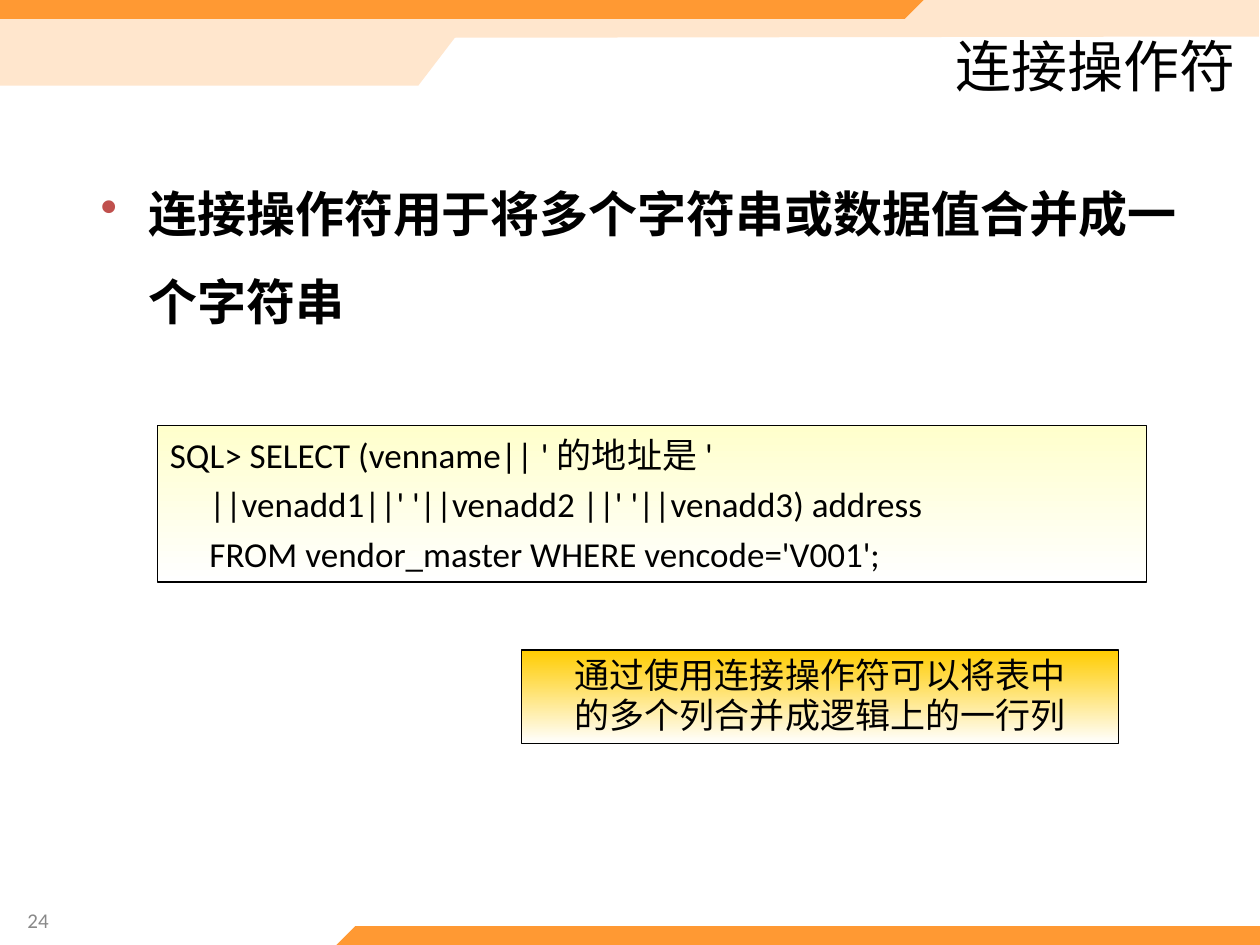
from lxml.etree import SubElement
from pptx import Presentation
from pptx.dml.color import RGBColor
from pptx.enum.shapes import MSO_SHAPE
from pptx.enum.text import MSO_ANCHOR, MSO_AUTO_SIZE, PP_ALIGN
from pptx.oxml.ns import qn
from pptx.util import Inches, Pt

BLACK = RGBColor(0, 0, 0)
WHITE = RGBColor(255, 255, 255)
GREY = RGBColor(0x89, 0x89, 0x89)
PEACH = RGBColor(0xFF, 0xE6, 0xCD)
ORANGE = RGBColor(0xFF, 0x99, 0x33)
CREAM = RGBColor(0xFF, 0xFF, 0xCC)
GOLD = RGBColor(0xFF, 0xCC, 0)
RED = RGBColor(0xC0, 0x50, 0x4D)

WIDE, HIGH = 10, 7.5
BAR, CUT = 0.15, 7.33  # depth and length of the orange bars

TITLE = "连接操作符"
POINT = "连接操作符用于将多个字符串或数据值合并成一个字符串"
NUMBER = "24"
CODE = [
    "SQL> SELECT (venname|| ' 的地址是 '",
    "     ||venadd1||' '||venadd2 ||' '||venadd3) address",
    "     FROM vendor_master WHERE vencode='V001';",
]
NOTE = ["通过使用连接操作符可以将表中", "的多个列合并成逻辑上的一行列"]

BANDS = [
    (PEACH, [(9.99, 0), (0, 0), (0, 0.68), (3.32, 0.68), (3.61, 0.3), (9.99, 0.29)]),
    (ORANGE, [(CUT, 0), (CUT - BAR, BAR), (0, BAR), (0, 0)]),
    (ORANGE, [(WIDE - CUT, HIGH), (WIDE - CUT + BAR, HIGH - BAR),
              (WIDE, HIGH - BAR), (WIDE, HIGH)]),
]
PANELS = [
    (CODE, (1.25, 3.38, 7.85, 1.24), CREAM,
     {"alignment": PP_ALIGN.LEFT, "space_before": Pt(4)}),
    (NOTE, (4.14, 5.16, 4.74, 0.74), GOLD,
     {"alignment": PP_ALIGN.CENTER, "line_spacing": 0.95}),
]


def apply(item, form):
    for key, value in form.items():
        setattr(item, key, value)


def write(shape, lines, size, form, color=BLACK, bold=False, anchor=MSO_ANCHOR.MIDDLE):
    frame = shape.text_frame
    frame.text = "\n".join(lines)
    apply(frame, {"word_wrap": True, "auto_size": MSO_AUTO_SIZE.NONE,
                  "vertical_anchor": anchor})
    for para in frame.paragraphs:
        apply(para, form)
        for run in para.runs:
            apply(run.font, {"name": "Calibri", "size": Pt(size), "bold": bold})
            run.font.color.rgb = color
    frame.paragraphs[0].space_before = Pt(0)


def add_band(slide, color, points):
    spots = [(Inches(x), Inches(y)) for x, y in points]
    pen = slide.shapes.build_freeform(*spots[0])
    pen.add_line_segments(spots[1:], close=True)
    band = pen.convert_to_shape()
    band.shadow.inherit = False
    band.fill.solid()
    band.fill.fore_color.rgb = color
    band.line.fill.background()


def add_panel(slide, lines, box, color, form):
    panel = slide.shapes.add_shape(MSO_SHAPE.RECTANGLE, *map(Inches, box))
    panel.shadow.inherit = False
    panel.fill.gradient()
    panel.fill.gradient_angle = 270  # top to bottom
    for stop, shade, place in zip(panel.fill.gradient_stops, (color, WHITE), (0, 1)):
        stop.color.rgb = shade
        stop.position = place
    panel.line.color.rgb = BLACK
    panel.line.width = Pt(0.75)
    write(panel, lines, 20, form)


def add_bullet(para, color):
    props = para._p.get_or_add_pPr()
    props.set("marL", str(Inches(0.38)))
    props.set("indent", str(-Inches(0.38)))
    tint = SubElement(props, qn("a:buClr"))
    SubElement(tint, qn("a:srgbClr")).set("val", str(color))
    SubElement(props, qn("a:buChar")).set("char", "•")


def main():
    deck = Presentation()
    deck.slide_width, deck.slide_height = Inches(WIDE), Inches(HIGH)
    slide = deck.slides.add_slide(deck.slide_layouts[5])

    for color, points in BANDS:
        add_band(slide, color, points)

    number = slide.shapes.add_textbox(*map(Inches, (0.12, 7.1, 1.44, 0.4)))
    write(number, [NUMBER], 12, {}, GREY)

    body = slide.shapes.add_textbox(*map(Inches, (0.7, 1.17, 9.04, 0.91)))
    write(body, [POINT], 28, {"line_spacing": 1.5}, bold=True, anchor=MSO_ANCHOR.TOP)
    add_bullet(body.text_frame.paragraphs[0], RED)

    for panel in PANELS:
        add_panel(slide, *panel)

    title = slide.shapes.title
    apply(title, dict(zip(("left", "top", "width", "height"),
                          map(Inches, (4.06, 0.28, 5.85, 0.47)))))
    write(title, [TITLE], 32, {"alignment": PP_ALIGN.RIGHT})

    deck.save("out.pptx")


if __name__ == "__main__":
    main()
